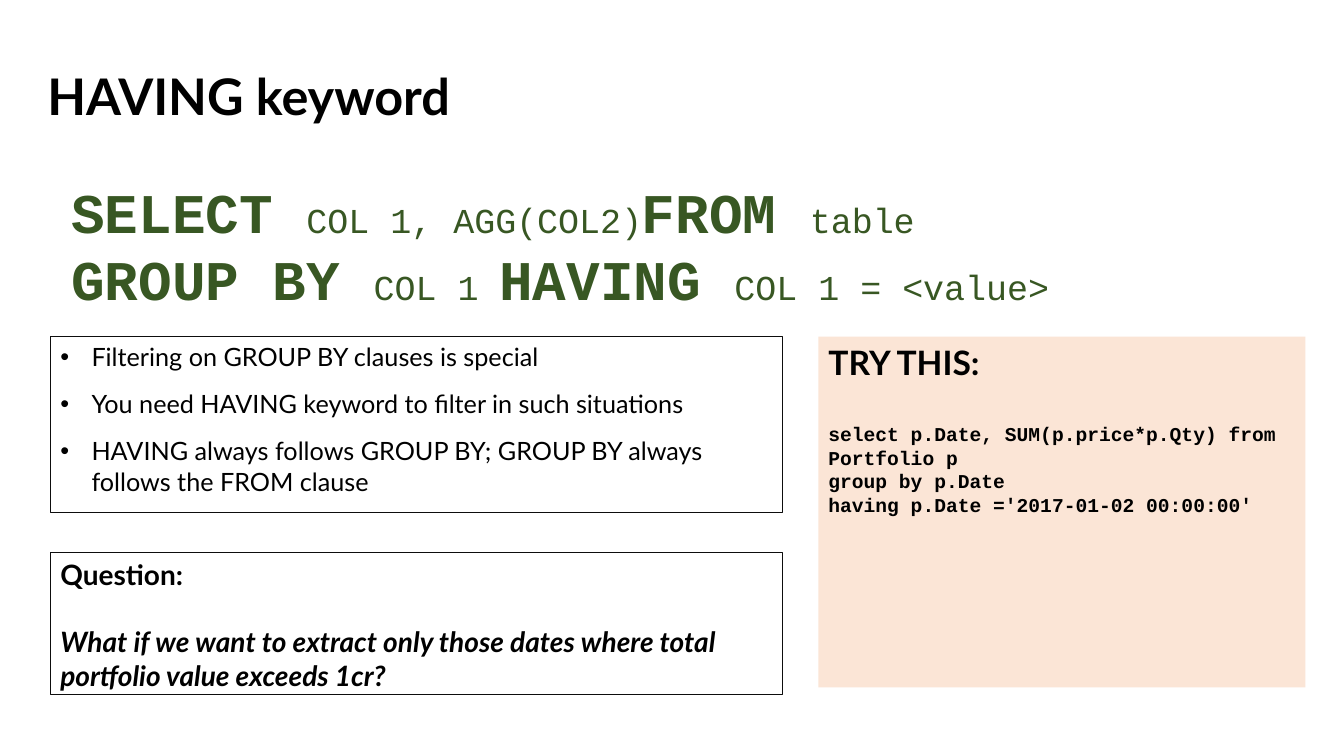
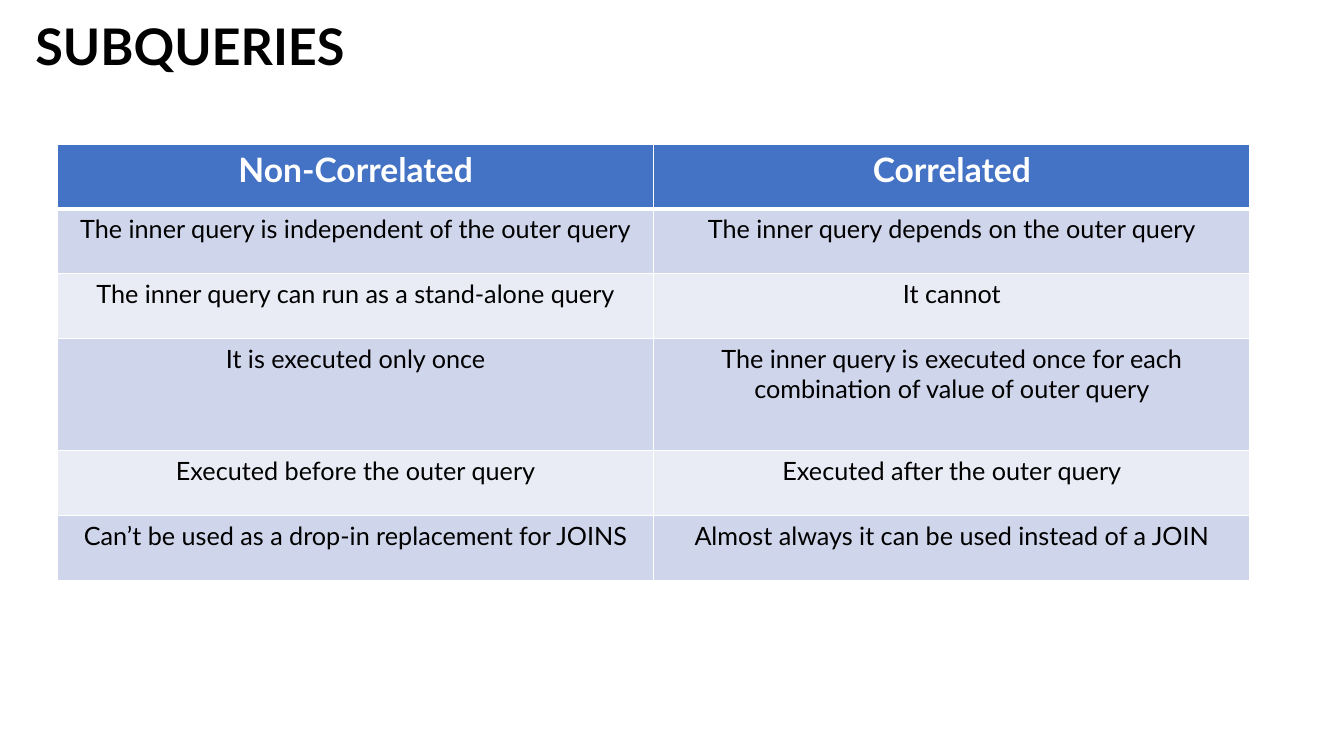
from dataclasses import dataclass
from typing import Optional

import lxml.etree
import pptx
import pptx.dml.color
import pptx.enum.shapes
import pptx.enum.text
import pptx.oxml.ns
import pptx.util

Pt = pptx.util.Pt
qn = pptx.oxml.ns.qn
ALIGN = pptx.enum.text.PP_ALIGN
ANCHOR = pptx.enum.text.MSO_ANCHOR
AUTOSIZE = pptx.enum.text.MSO_AUTO_SIZE

SLIDE_W = pptx.util.Inches(13.333)
SLIDE_H = pptx.util.Inches(7.5)
BODY, CODE = "Lato", "Courier New"
COLORS = {
    "text": "000000",
    "white": "FFFFFF",
    "syntax": "385723",
    "outline": "0D0D0D",
    "exercise": "FBE5D6",
    "header": "4472C4",
    "band_dark": "CFD5EA",
    "band_light": "E9EBF5",
}


# Data descriptions
@dataclass(frozen=True)
class Area:
    """Left, top, width and height in percent of the slide."""
    x: float
    y: float
    w: float
    h: float

    def emu(self) -> tuple[int, int, int, int]:
        return across(self.x), down(self.y), across(self.w), down(self.h)


@dataclass(frozen=True)
class Run:
    text: str
    size: float
    font: str = BODY
    color: str = "text"
    bold: bool = False
    italic: bool = False


@dataclass(frozen=True)
class Para:
    runs: tuple[Run, ...]
    after: float = 0
    bullet: bool = False
    align: ALIGN = ALIGN.LEFT
    spacing: Optional[float] = None


@dataclass(frozen=True)
class Panel:
    area: Area
    paras: tuple[Para, ...]
    fill: Optional[str] = None
    line: Optional[str] = None


def across(share: float) -> int:
    return round(SLIDE_W * share / 100)


def down(share: float) -> int:
    return round(SLIDE_H * share / 100)


def rgb(name: str) -> pptx.dml.color.RGBColor:
    return pptx.dml.color.RGBColor.from_string(COLORS[name])


# Text
def add_bullet(p) -> None:
    ppr = p._p.get_or_add_pPr()
    indent = pptx.util.Inches(0.31)
    ppr.set("marL", str(indent))
    ppr.set("indent", str(-indent))
    lxml.etree.SubElement(ppr, qn("a:buFont")).set("typeface", "Arial")
    lxml.etree.SubElement(ppr, qn("a:buChar")).set("char", "•")


def write(tf, paras: tuple[Para, ...]) -> None:
    for i, para in enumerate(paras):
        p = tf.add_paragraph() if i else tf.paragraphs[0]
        p.alignment = para.align
        p.space_after = Pt(para.after)
        if para.spacing:
            p.line_spacing = para.spacing
        if para.bullet:
            add_bullet(p)
        for run in para.runs:
            r = p.add_run()
            r.text = run.text
            r.font.name = run.font
            r.font.size = Pt(run.size)
            r.font.bold = run.bold
            r.font.italic = run.italic
            r.font.color.rgb = rgb(run.color)


# Slide parts
def add_titled_slide(prs, title: str, area: Area):
    s = prs.slides.add_slide(prs.slide_layouts[5])
    sp = s.shapes.title
    sp.left, sp.top, sp.width, sp.height = area.emu()
    tf = sp.text_frame
    tf.word_wrap = True
    tf.auto_size = AUTOSIZE.NONE
    tf.vertical_anchor = ANCHOR.MIDDLE
    write(tf, (Para((Run(title, 36, bold=True),), spacing=0.9),))
    return s


def add_panel(s, panel: Panel) -> None:
    sp = s.shapes.add_shape(pptx.enum.shapes.MSO_SHAPE.RECTANGLE, *panel.area.emu())
    sp.shadow.inherit = False
    if panel.fill:
        sp.fill.solid()
        sp.fill.fore_color.rgb = rgb(panel.fill)
    else:
        sp.fill.background()
    if panel.line:
        sp.line.color.rgb = rgb(panel.line)
        sp.line.width = Pt(0.75)
    else:
        sp.line.fill.background()
    tf = sp.text_frame
    tf.word_wrap = True
    tf.vertical_anchor = ANCHOR.TOP
    write(tf, panel.paras)


def add_syntax(s, area: Area, lines: tuple[tuple[str, ...], ...]) -> None:
    """Each line alternates between a keyword and its operand."""
    tf = s.shapes.add_textbox(*area.emu()).text_frame
    tf.word_wrap = True
    tf.auto_size = AUTOSIZE.SHAPE_TO_FIT_TEXT
    write(tf, tuple(
        Para(tuple(
            Run(text, 25 if i % 2 else 40, CODE, "syntax", bold=i % 2 == 0)
            for i, text in enumerate(line)
        ))
        for line in lines
    ))


def set_borders(cell, top: float, bottom: float) -> None:
    tcpr = cell._tc.get_or_add_tcPr()
    widths = {"a:lnL": 1, "a:lnR": 1, "a:lnT": top, "a:lnB": bottom}
    for i, (tag, width) in enumerate(widths.items()):
        ln = lxml.etree.SubElement(tcpr, qn(tag))
        ln.set("w", str(Pt(width)))
        fill = lxml.etree.SubElement(ln, qn("a:solidFill"))
        lxml.etree.SubElement(fill, qn("a:srgbClr")).set("val", COLORS["white"])
        tcpr.insert(i, ln)


def add_comparison(s, area: Area, heights: tuple[float, ...],
                   rows: tuple[tuple[str, ...], ...]) -> None:
    cols = len(rows[0])
    table = s.shapes.add_table(len(rows), cols, *area.emu()).table
    for column in table.columns:
        column.width = across(area.w / cols)
    for i, (height, texts) in enumerate(zip(heights, rows)):
        table.rows[i].height = down(height)
        header = i == 0
        fill = "header" if header else "band_dark" if i % 2 else "band_light"
        for j, text in enumerate(texts):
            cell = table.cell(i, j)
            cell.fill.solid()
            cell.fill.fore_color.rgb = rgb(fill)
            set_borders(cell, top=3 if i == 1 else 1, bottom=3 if header else 1)
            run = Run(text, 24 if header else 18,
                      color="white" if header else "text", bold=header)
            write(cell.text_frame, (Para((run,), align=ALIGN.CENTER),))


# Content
SYNTAX = (
    ("SELECT ", "COL 1, AGG(COL2)", "FROM ", "table"),
    ("GROUP BY ", "COL 1 ", "HAVING ", "COL 1 = <value>"),
)
QUERY = (
    "select p.Date, SUM(p.price*p.Qty) from Portfolio p",
    "group by p.Date",
    "having p.Date ='2017-01-02 00:00:00'",
)
NOTES = (
    "Filtering on GROUP BY clauses is special",
    "You need HAVING keyword to filter in such situations",
    "HAVING always follows GROUP BY; GROUP BY always follows the FROM clause",
)
QUESTION = ("What if we want to extract only those dates where total "
            "portfolio value exceeds 1cr?")
PANELS = (
    Panel(
        Area(60.9, 44.53, 36.23, 46.4),
        (Para((Run("TRY THIS:", 24, bold=True),), after=28.8),
         *(Para((Run(text, 14, CODE, bold=True),)) for text in QUERY)),
        fill="exercise",
    ),
    Panel(
        Area(3.75, 44.53, 54.45, 23.33),
        tuple(Para((Run(text, 18),), after=12, bullet=True) for text in NOTES),
        line="outline",
    ),
    Panel(
        Area(3.75, 73.07, 54.45, 18.8),
        (Para((Run("Question:", 20, bold=True),), after=24),
         Para((Run(QUESTION, 20, bold=True, italic=True),))),
        line="outline",
    ),
)
ROW, TALL_ROW = 8.58, 14.8
COMPARISON = (
    ("Non-Correlated", "Correlated"),
    ("The inner query is independent of the outer query",
     "The inner query depends on the outer query"),
    ("The inner query can run as a stand-alone query", "It cannot"),
    ("It is executed only once",
     "The inner query is executed once for each combination of value of outer query"),
    ("Executed before the outer query", "Executed after the outer query"),
    ("Can’t be used as a drop-in replacement for JOINS",
     "Almost always it can be used instead of a JOIN"),
)


def main() -> None:
    prs = pptx.Presentation()
    prs.slide_width, prs.slide_height = SLIDE_W, SLIDE_H

    # HAVING
    s = add_titled_slide(prs, "HAVING keyword", Area(2.78, 3.47, 86.25, 19.33))
    add_syntax(s, Area(4.58, 22.8, 88.95, 19.33), SYNTAX)
    for panel in PANELS:
        add_panel(s, panel)

    # Subqueries
    s = add_titled_slide(prs, "SUBQUERIES", Area(1.88, 2.13, 86.25, 8.8))
    heights = (ROW, ROW, ROW, TALL_ROW, ROW, ROW)
    add_comparison(s, Area(4.28, 19.07, 88.73, sum(heights)), heights, COMPARISON)

    prs.save("out.pptx")


if __name__ == "__main__":
    main()
